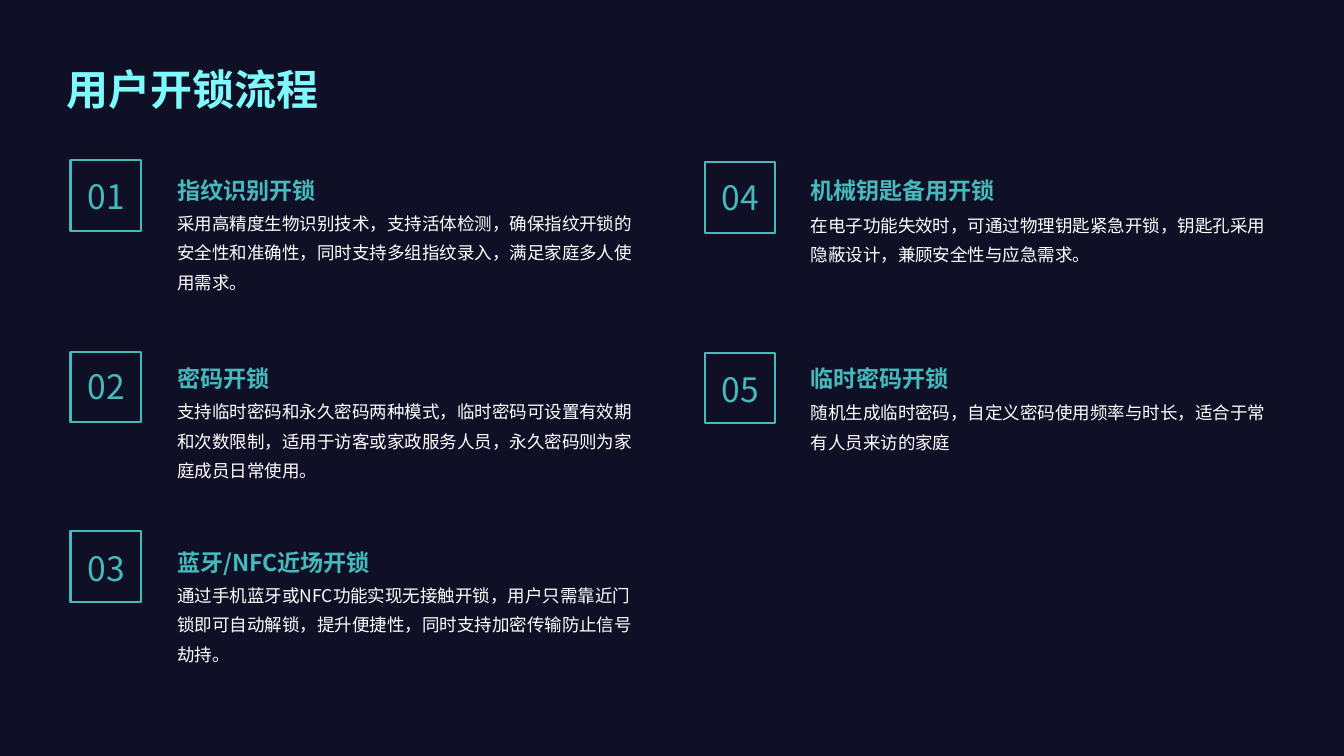
from dataclasses import dataclass

from lxml import etree
from pptx import Presentation
from pptx import util as u
from pptx.dml.color import RGBColor
from pptx.enum import shapes, text
from pptx.oxml.ns import qn

PX = 9144
FONT = "Noto Sans CJK SC"
COLORS = {"night": "0F0F26", "teal": "45B9BB", "cyan": "7DFBFC", "white": "FFFFFF"}
SQUARE = 70
NUMBER_SHIFT, NUMBER_WIDTH = 11, 93
HEADING_WIDTH, HEADING_HEIGHT = 461, 45


@dataclass(frozen=True)
class Area:
    left: int
    top: int
    width: int
    height: int

    def emu(self) -> tuple[int, ...]:
        return tuple(n * PX for n in (self.left, self.top, self.width, self.height))


@dataclass(frozen=True)
class Style:
    size: float
    color: str
    bold: bool = False
    spacing: float = 1.0
    insets: tuple[int, int, int, int] = (10, 5, 10, 5)
    align: text.PP_ALIGN = text.PP_ALIGN.LEFT
    anchor: text.MSO_ANCHOR = text.MSO_ANCHOR.TOP
    fit: text.MSO_AUTO_SIZE = text.MSO_AUTO_SIZE.NONE


@dataclass(frozen=True)
class Column:
    square_left: int
    text_left: int
    body_width: int


@dataclass(frozen=True)
class Step:
    number: str
    column: Column
    square_top: int
    number_top: int
    number_height: int
    heading_top: int
    body_top: int
    body_height: int
    heading: str
    body: str


GROW = text.MSO_AUTO_SIZE.SHAPE_TO_FIT_TEXT
MIDDLE = text.MSO_ANCHOR.MIDDLE
TITLE = Style(30, "cyan", True, 1.4, (14, 14, 6, 14), fit=GROW)
NUMBER = Style(24, "teal", align=text.PP_ALIGN.CENTER, anchor=MIDDLE, fit=GROW)
HEADING = Style(16.5, "teal", True, 1.5, (14, 14, 6, 14), anchor=MIDDLE)
BODY = Style(12.5, "white", False, 1.4, (14, 6, 6, 6))

LEFT = Column(70, 162, 475)
LEFT_WIDE = Column(70, 162, 482)
RIGHT = Column(699, 790, 479)

STEPS = [
    Step("01", LEFT_WIDE, 159, 168, 53, 159, 197, 123, "指纹识别开锁",
         "采用高精度生物识别技术，支持活体检测，确保指纹开锁的安全性和准确性，"
         "同时支持多组指纹录入，满足家庭多人使用需求。"),
    Step("02", LEFT, 349, 355, 57, 346, 384, 127, "密码开锁",
         "支持临时密码和永久密码两种模式，临时密码可设置有效期和次数限制，"
         "适用于访客或家政服务人员，永久密码则为家庭成员日常使用。"),
    Step("03", LEFT, 527, 535, 57, 528, 566, 127, "蓝牙/NFC近场开锁",
         "通过手机蓝牙或NFC功能实现无接触开锁，用户只需靠近门锁即可自动解锁，"
         "提升便捷性，同时支持加密传输防止信号劫持。"),
    Step("04", RIGHT, 161, 167, 57, 159, 199, 122, "机械钥匙备用开锁",
         "在电子功能失效时，可通过物理钥匙紧急开锁，钥匙孔采用隐蔽设计，"
         "兼顾安全性与应急需求。"),
    Step("05", RIGHT, 350, 357, 57, 346, 385, 126, "临时密码开锁",
         "随机生成临时密码，自定义密码使用频率与时长，适合于常有人员来访的家庭"),
]


def rgb(name: str) -> RGBColor:
    return RGBColor.from_string(COLORS[name])


def write(box, words: str, style: Style) -> None:
    frame = box.text_frame
    frame.word_wrap = True
    frame.auto_size = style.fit
    frame.vertical_anchor = style.anchor
    (frame.margin_left, frame.margin_top,
     frame.margin_right, frame.margin_bottom) = (n * PX for n in style.insets)
    para = frame.paragraphs[0]
    para.alignment = style.align
    para.line_spacing = style.spacing
    span = para.add_run()
    span.text = words
    span.font.size = u.Pt(style.size)
    span.font.bold = style.bold
    span.font.color.rgb = rgb(style.color)
    span.font.name = FONT
    etree.SubElement(span.font._element, qn("a:ea"), typeface=FONT)


def add_text(page, area: Area, words: str, style: Style) -> None:
    write(page.shapes.add_textbox(*area.emu()), words, style)


def add_title(page, area: Area, words: str) -> None:
    title = page.shapes.title
    title.left, title.top, title.width, title.height = area.emu()
    write(title, words, TITLE)


def add_square(page, left: int, top: int) -> None:
    area = Area(left, top, SQUARE, SQUARE)
    square = page.shapes.add_shape(shapes.MSO_SHAPE.RECTANGLE, *area.emu())
    square.shadow.inherit = False
    square.fill.background()
    square.line.color.rgb = rgb("teal")
    square.line.width = u.Pt(1.5)


def add_step(page, step: Step) -> None:
    column = step.column
    add_square(page, column.square_left, step.square_top)
    number_area = Area(column.square_left - NUMBER_SHIFT, step.number_top,
                       NUMBER_WIDTH, step.number_height)
    heading_area = Area(column.text_left, step.heading_top,
                        HEADING_WIDTH, HEADING_HEIGHT)
    body_area = Area(column.text_left, step.body_top,
                     column.body_width, step.body_height)
    add_text(page, number_area, step.number, NUMBER)
    add_text(page, body_area, step.body, BODY)
    add_text(page, heading_area, step.heading, HEADING)


def main() -> None:
    deck = Presentation()
    deck.slide_width, deck.slide_height = 1333 * PX, 750 * PX
    page = deck.slides.add_slide(deck.slide_layouts.get_by_name("Title Only"))
    page.background.fill.solid()
    page.background.fill.fore_color.rgb = rgb("night")
    add_title(page, Area(52, 29, 1229, 100), "用户开锁流程")
    for step in STEPS:
        add_step(page, step)
    deck.save("out.pptx")


if __name__ == "__main__":
    main()
